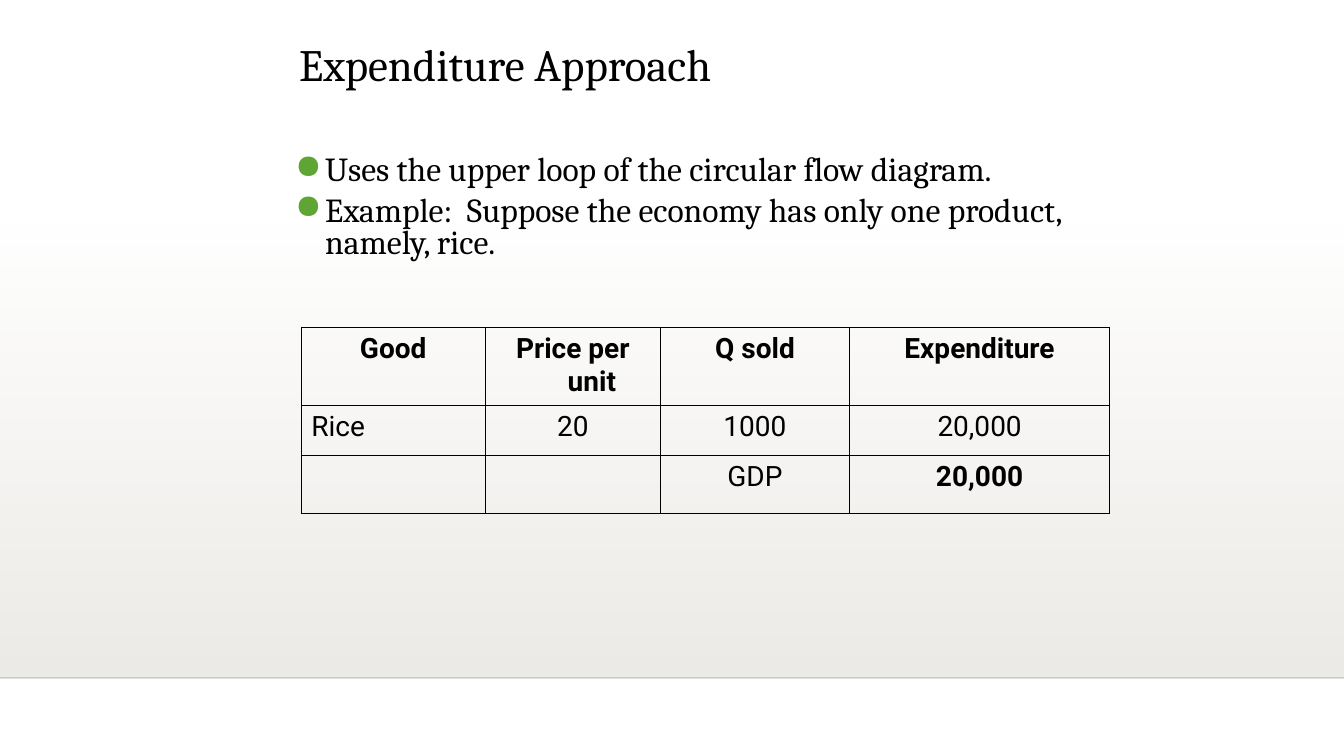
"""Build the Expenditure Approach slide with its bullets and GDP table."""
from lxml import etree
from pptx import Presentation
from pptx import util as u
from pptx.dml.color import RGBColor
from pptx.enum import shapes, text
from pptx.oxml.ns import qn

TITLE = "Expenditure Approach"
BULLETS = [
    "Uses the upper loop of the circular flow diagram.",
    "Example:  Suppose the economy has only one product, namely, rice.",
]
ROWS = [
    ["Good", "Price per unit", "Q sold", "Expenditure"],
    ["Rice", "20", "1000", "20,000"],
    ["", "", "GDP", "20,000"],
]
BOLD_CELLS = {(0, 0), (0, 1), (0, 2), (0, 3), (2, 3)}
LEFT_CELLS = {(1, 0)}
COLUMN_WIDTHS = [184, 175, 189, 260]
ROW_HEIGHTS = [78, 50, 58]

SLIDE = (1343, 755)
BACKDROP = (0, 222, 1343, 454)
RULE_Y = 677
TITLE_BOX = (289, 22, 831, 74)
BODY_BOX = (285, 151, 864, 118)
TABLE_ORIGIN = (301, 327)
BULLET_INDENT = 30
CELL_INDENT = 38

BLACK = RGBColor(0, 0, 0)
RULE = RGBColor(0, 0, 1)
SAND = RGBColor(0xED, 0xEB, 0xE7)
GREEN = RGBColor(0x5F, 0xA5, 0x34)


def px(*lengths):
    """Turn pixel lengths into EMU."""
    return [u.Emu(length * 9080) for length in lengths]


def add_child(parent, tag, **attributes):
    """Append a drawing element to a parent."""
    return etree.SubElement(parent, qn(tag), attributes)


def set_alpha(element, percent):
    """Give the first colour inside an element an opacity."""
    colour = next(element.iter(qn("a:srgbClr")))
    add_child(colour, "a:alpha", val=str(percent * 1000))


def style(para, font_name, size, bold=False):
    """Format the runs of a paragraph."""
    for span in para.runs:
        span.font.name = font_name
        span.font.size = u.Pt(size)
        span.font.bold = bold
        span.font.color.rgb = BLACK


def hang(para, indent):
    """Set a hanging indent and return the paragraph properties."""
    properties = para._p.get_or_add_pPr()
    width = px(indent)[0]
    properties.set("marL", str(width))
    properties.set("indent", str(-width))
    return properties


def add_backdrop(page):
    """Draw the fading band and the rule below it."""
    band = page.shapes.add_shape(shapes.MSO_SHAPE.RECTANGLE, *px(*BACKDROP))
    band.shadow.inherit = False
    band.line.fill.background()
    band.fill.gradient()
    band.fill.gradient_angle = 270
    for stop, position in zip(band.fill.gradient_stops, (0, 1)):
        stop.position = position
        stop.color.rgb = SAND
    set_alpha(band._element.spPr, 0)

    rule = page.shapes.add_connector(
        shapes.MSO_CONNECTOR.STRAIGHT, *px(0, RULE_Y, SLIDE[0], RULE_Y))
    rule.line.color.rgb = RULE
    rule.line.width = u.Pt(1)
    properties = rule._element.spPr
    set_alpha(properties, 20)
    add_child(properties, "a:effectLst")


def add_texts(page):
    """Add the title and the bulleted body."""
    title = page.shapes.add_textbox(*px(*TITLE_BOX)).text_frame
    title.word_wrap = True
    title.vertical_anchor = text.MSO_ANCHOR.BOTTOM
    title.text = TITLE
    title.paragraphs[0].line_spacing = 0.9
    style(title.paragraphs[0], "Cambria", 32)

    body = page.shapes.add_textbox(*px(*BODY_BOX)).text_frame
    body.word_wrap = True
    body.text = "\n".join(BULLETS)
    for index, para in enumerate(body.paragraphs):
        properties = hang(para, BULLET_INDENT)
        colour = add_child(properties, "a:buClr")
        add_child(colour, "a:srgbClr", val=str(GREEN))
        add_child(properties, "a:buChar", char="●")
        para.line_spacing = 0.8
        if index:
            para.space_before = u.Pt(5.8)
        style(para, "Cambria", 24)


def add_borders(cell):
    """Outline a cell with thin black lines."""
    properties = cell._tc.get_or_add_tcPr()
    for index, side in enumerate("LRTB"):
        line = etree.Element(qn(f"a:ln{side}"), w=str(u.Pt(0.45)))
        fill = add_child(line, "a:solidFill")
        add_child(fill, "a:srgbClr", val=str(BLACK))
        properties.insert(index, line)


def add_gdp_table(page):
    """Add the expenditure table."""
    frame = page.shapes.add_table(
        len(ROWS), len(COLUMN_WIDTHS),
        *px(*TABLE_ORIGIN, sum(COLUMN_WIDTHS), sum(ROW_HEIGHTS)))
    table = frame.table
    table.first_row = table.horz_banding = False
    for column, width in zip(table.columns, px(*COLUMN_WIDTHS)):
        column.width = width
    for row, height in zip(table.rows, px(*ROW_HEIGHTS)):
        row.height = height
    for r, values in enumerate(ROWS):
        for c, value in enumerate(values):
            cell = table.cell(r, c)
            cell.fill.background()
            add_borders(cell)
            cell.text = value
            para = cell.text_frame.paragraphs[0]
            hang(para, CELL_INDENT)
            para.alignment = (text.PP_ALIGN.LEFT if (r, c) in LEFT_CELLS
                              else text.PP_ALIGN.CENTER)
            style(para, "Roboto", 20, (r, c) in BOLD_CELLS)


def main():
    """Assemble and save the deck."""
    deck = Presentation()
    deck.slide_width, deck.slide_height = px(*SLIDE)
    page = deck.slides.add_slide(deck.slide_layouts[6])
    add_backdrop(page)
    add_texts(page)
    add_gdp_table(page)
    deck.save("out.pptx")


if __name__ == "__main__":
    main()
